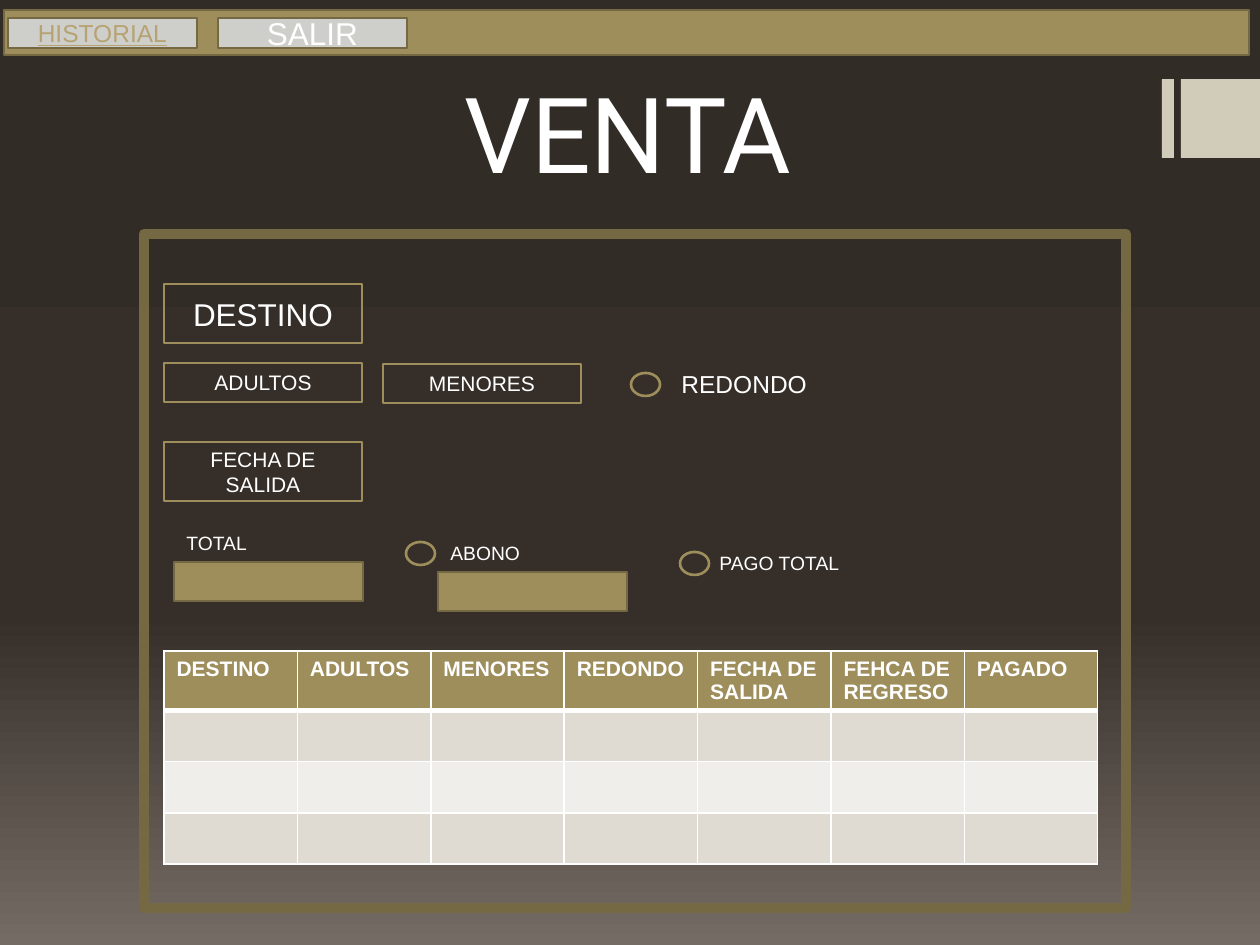
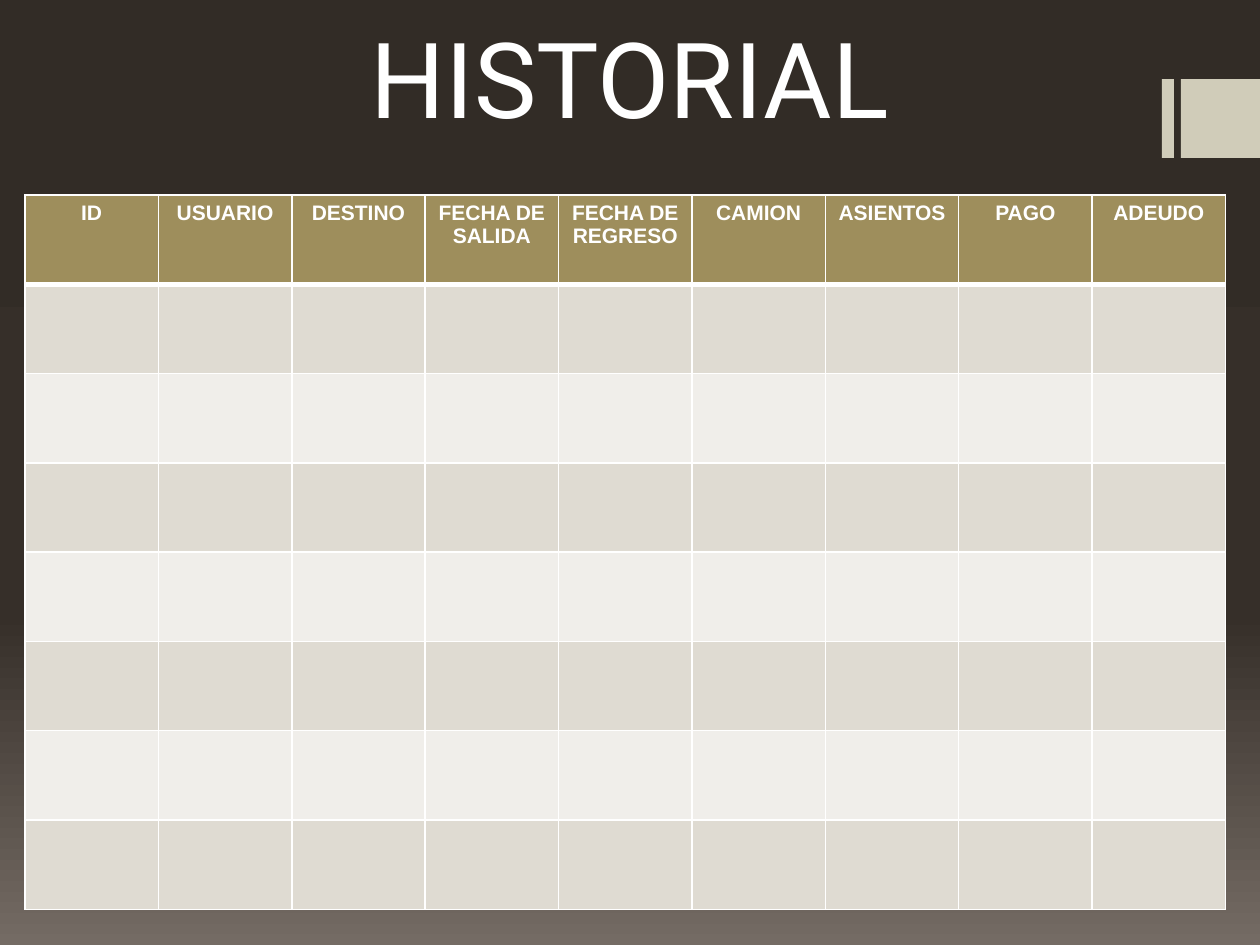
from copy import deepcopy

from lxml.etree import SubElement
from pptx import Presentation
from pptx.dml.color import RGBColor
from pptx.enum.shapes import MSO_SHAPE as Shape
from pptx.enum.text import MSO_ANCHOR as Anchor, MSO_AUTO_SIZE as AutoSize, PP_ALIGN as Align
from pptx.oxml.ns import qn
from pptx.util import Pt

PX = 914400 // 126  # EMU in one pixel
SLIDE_W, SLIDE_H = 1260, 945
COLORS = {
    "white": "FFFFFF", "gold": "9E8E5C", "bronze": "756944", "silver": "CECFCB",
    "link": "B6A272", "sand": "D0CCB9", "row_dark": "DFDBD2", "row_light": "F0EEEA",
}
BACKGROUND = [(0, "322C26"), (0.65, "362F29"), (1, "746B64")]
BODY_FONT, TITLE_FONT = "Arial", "Roboto"
COLUMN_W = 133.4
SALE_COLUMNS = ["DESTINO", "ADULTOS", "MENORES", "REDONDO",
                "FECHA DE SALIDA", "FEHCA DE REGRESO", "PAGADO"]
HISTORY_COLUMNS = ["ID", "USUARIO", "DESTINO", "FECHA DE SALIDA", "FECHA DE REGRESO",
                   "CAMION", "ASIENTOS", "PAGO", "ADEUDO"]


def emu(*pixels):
    """Turn pixels into a list of EMU lengths."""
    return [round(value * PX) for value in pixels]


def rgb(name):
    """Look up a palette colour."""
    return RGBColor.from_string(COLORS[name])


def write(frame, text, size, color="white", font=BODY_FONT, align=Align.CENTER,
          bold=None, underline=None):
    """Fill a text frame with one formatted paragraph."""
    frame.text = text
    frame.word_wrap = True
    paragraph = frame.paragraphs[0]
    paragraph.alignment = align
    style = paragraph.runs[0].font
    style.name, style.size, style.bold, style.underline = font, Pt(size), bold, underline
    style.color.rgb = rgb(color)


def add_box(slide, at, fill=None, line=None, width=1.5, kind=Shape.RECTANGLE):
    """Add a preset shape with an optional fill and outline."""
    box = slide.shapes.add_shape(kind, *emu(*at))
    box.shadow.inherit = False
    if fill:
        box.fill.solid()
        box.fill.fore_color.rgb = rgb(fill)
    else:
        box.fill.background()
    if line:
        box.line.color.rgb = rgb(line)
        box.line.width = Pt(width)
    else:
        box.line.fill.background()
    return box


def add_button(slide, at, text, size, fill=None, line="gold", **style):
    """Add a rectangle with a centred caption."""
    frame = add_box(slide, at, fill, line).text_frame
    frame.vertical_anchor = Anchor.MIDDLE
    write(frame, text, size, **style)


def add_label(slide, at, text, size):
    """Add a left-aligned caption."""
    frame = slide.shapes.add_textbox(*emu(*at)).text_frame
    write(frame, text, size, align=Align.LEFT)


def add_radio(slide, left, top):
    """Add an empty option button."""
    add_box(slide, (left, top, 29, 23), line="gold", kind=Shape.OVAL)


def set_borders(cell, top, bottom):
    """Draw white cell borders, 1 pt at the sides."""
    properties = cell._tc.get_or_add_tcPr()
    for side, points in zip("LRTB", (1, 1, top, bottom)):
        border = SubElement(properties, qn(f"a:ln{side}"), w=str(Pt(points)))
        paint = SubElement(border, qn("a:solidFill"))
        SubElement(paint, qn("a:srgbClr"), val=COLORS["white"])


def add_grid(slide, left, top, headers, rows, row_h, align):
    """Add a table with a gold header over empty banded rows."""
    table = slide.shapes.add_table(
        rows, len(headers),
        *emu(left, top, COLUMN_W * len(headers), row_h * rows)).table
    for column in table.columns:
        column.width = emu(COLUMN_W)[0]
    for index, row in enumerate(table.rows):
        row.height = emu(row_h)[0]
        fill = "gold" if index == 0 else "row_dark" if index % 2 else "row_light"
        for cell in row.cells:
            set_borders(cell, 3 if index == 1 else 1, 3 if index == 0 else 1)
            cell.fill.solid()
            cell.fill.fore_color.rgb = rgb(fill)
    for cell, header in zip(table.rows[0].cells, headers):
        write(cell.text_frame, header, 12, align=align, bold=True)


def set_background(master):
    """Give the master a vertical gradient in three stops."""
    fill = master.background.fill
    fill.gradient()
    fill.gradient_angle = 270
    stop_list = master.element.find(".//" + qn("a:gsLst"))
    stop_list.insert(1, deepcopy(stop_list[0]))
    for stop, (position, color) in zip(fill.gradient_stops, BACKGROUND):
        stop.position = position
        stop.color.rgb = RGBColor.from_string(color)


def start_slide(deck, title, left, top):
    """Add a slide with its title and the two marks at the right edge."""
    slide = deck.slides.add_slide(deck.slide_layouts[5])
    for mark_left, mark_w in ((1162, 12), (1181, 79)):
        add_box(slide, (mark_left, 79, mark_w, 79), fill="sand")
    heading = slide.shapes.title
    heading.left, heading.top, heading.width, heading.height = emu(left, top, SLIDE_W, 140)
    frame = heading.text_frame
    frame.auto_size = AutoSize.NONE
    frame.vertical_anchor = Anchor.TOP
    write(frame, title, 60, font=TITLE_FONT)
    return slide


def build_sale(deck):
    """Build the sale form."""
    slide = start_slide(deck, "VENTA", -2, 62)
    add_box(slide, (4, 10, 1245, 45), "gold", "bronze")
    add_button(slide, (8, 18, 189, 30), "HISTORIAL", 14, "silver", "bronze",
               color="link", underline=True)
    add_button(slide, (218, 18, 189, 30), "SALIR", 18, "silver", "bronze")

    add_grid(slide, 164, 651, SALE_COLUMNS, 4, 51, Align.LEFT)
    add_box(slide, (144, 234, 982, 674), line="bronze", width=6)
    for left, top, height, text, size in (
            (164, 284, 59, "DESTINO", 18), (164, 363, 39, "ADULTOS", 12),
            (383, 364, 39, "MENORES", 12), (164, 442, 59, "FECHA DE SALIDA", 12)):
        add_button(slide, (left, top, 198, height), text, size)
    for left, top in ((174, 562), (438, 572)):
        add_box(slide, (left, top, 189, 39), "gold", "bronze")
    for left, top, text, size in ((174, 525, "TOTAL", 11), (438, 535, "ABONO", 11),
                                  (707, 545, "PAGO TOTAL", 11), (669, 363, "REDONDO", 14)):
        add_label(slide, (left, top, 160, 37), text, size)
    for left, top in ((631, 373), (406, 542), (680, 552)):
        add_radio(slide, left, top)


def build_history(deck):
    """Build the sales history."""
    slide = start_slide(deck, "HISTORIAL", 0, 7)
    add_grid(slide, 25, 195, HISTORY_COLUMNS, 8, 89.3, Align.CENTER)


def main():
    """Build and save the deck."""
    deck = Presentation()
    deck.slide_width, deck.slide_height = emu(SLIDE_W, SLIDE_H)
    set_background(deck.slide_master)
    build_sale(deck)
    build_history(deck)
    deck.save("out.pptx")


main()
